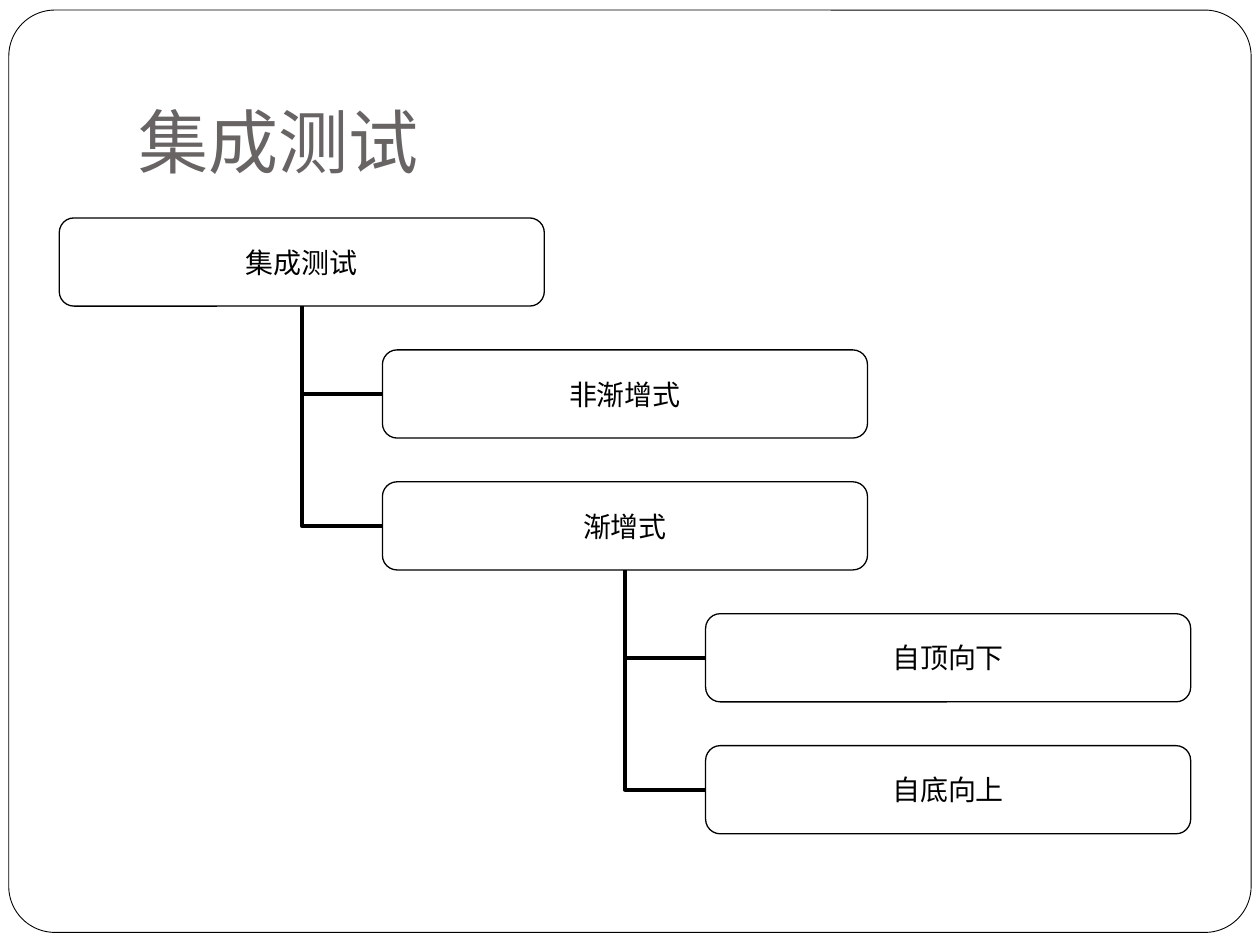
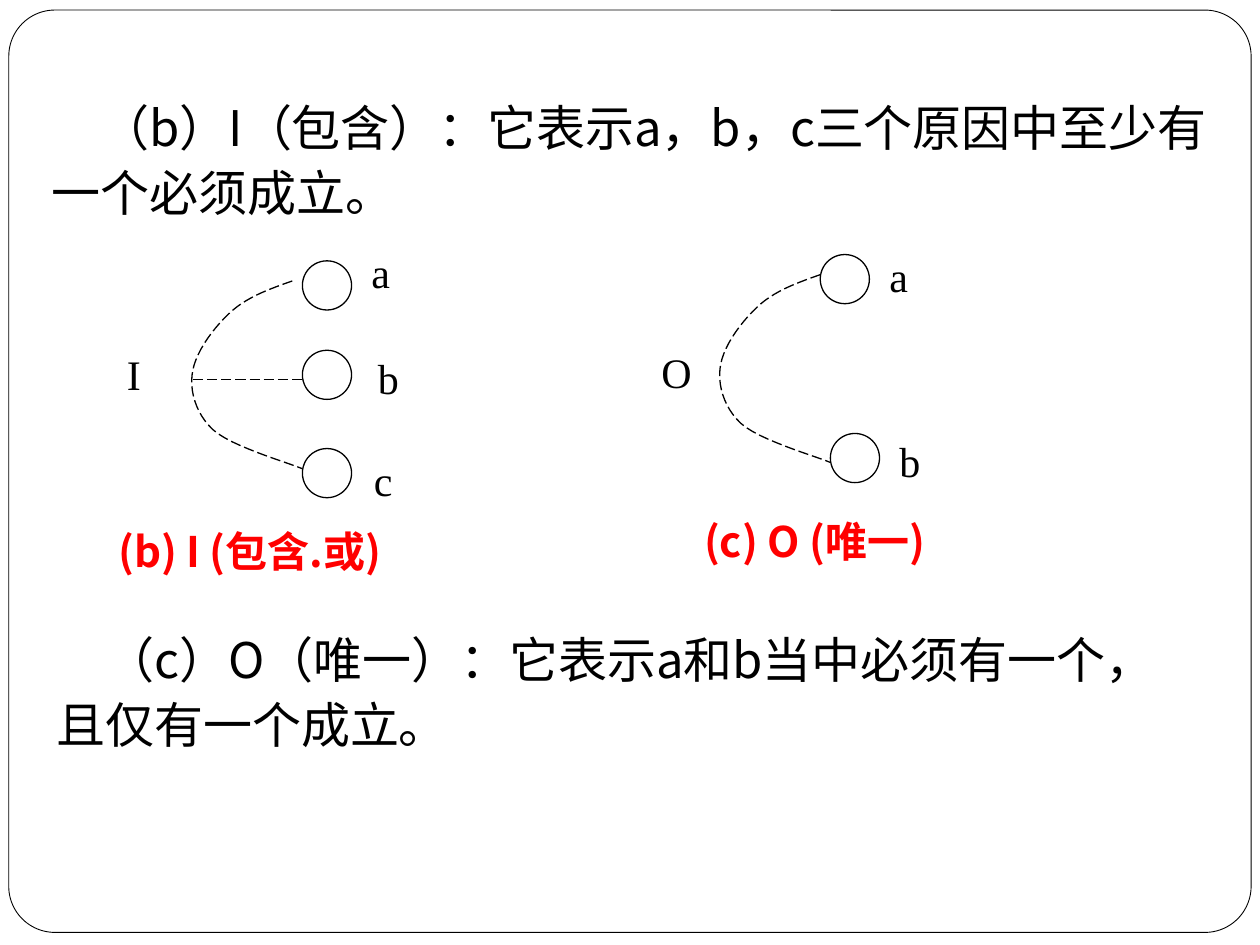
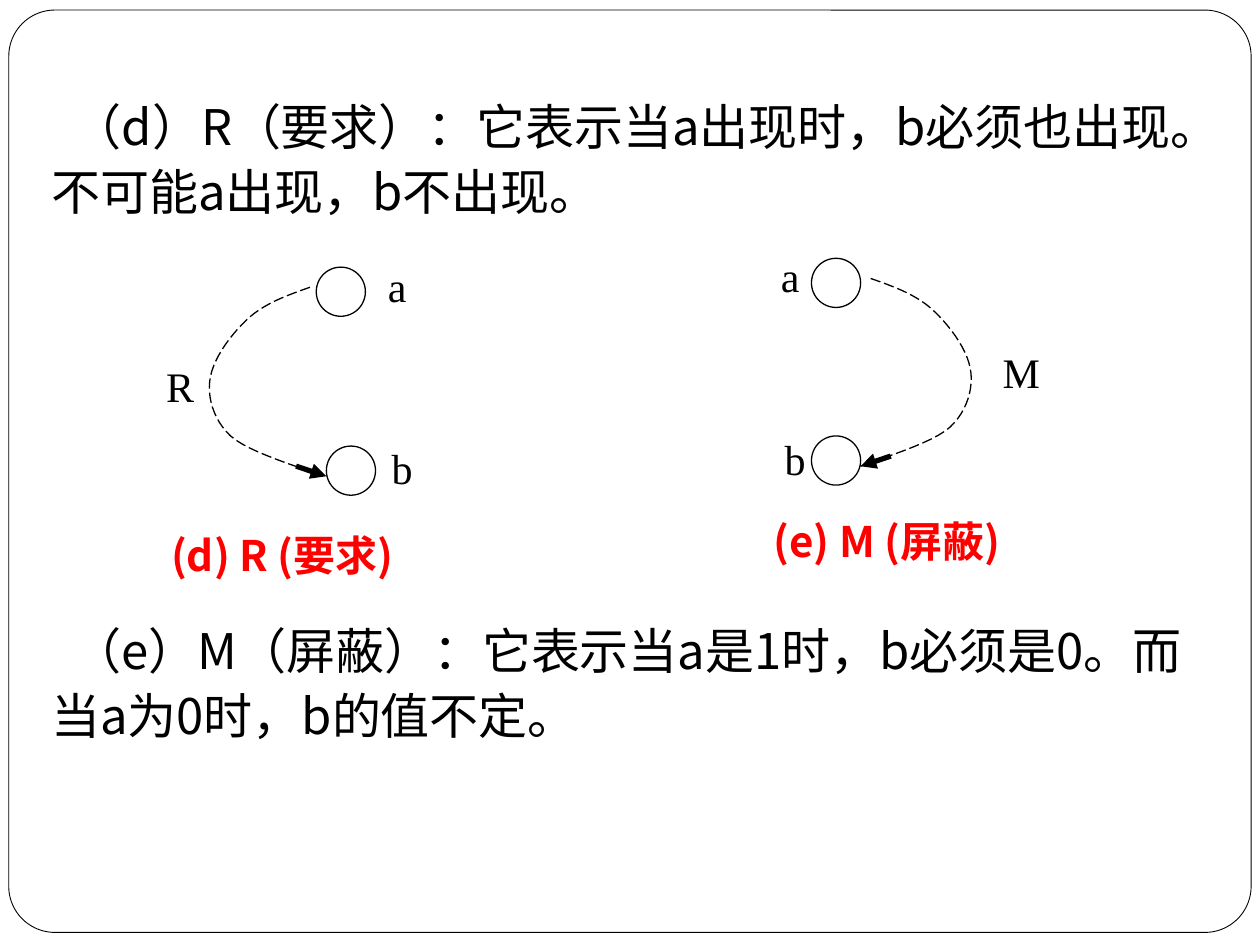
import pptx
import pptx.util
import pptx.dml.color
import pptx.enum.dml
import pptx.enum.shapes
import pptx.enum.text
import pptx.oxml
import pptx.oxml.ns

Inches = pptx.util.Inches
Pt = pptx.util.Pt
RGBColor = pptx.dml.color.RGBColor
ShapeType = pptx.enum.shapes.MSO_SHAPE
ConnectorType = pptx.enum.shapes.MSO_CONNECTOR
Anchor = pptx.enum.text.MSO_ANCHOR
Align = pptx.enum.text.PP_ALIGN
qn = pptx.oxml.ns.qn

BLACK = RGBColor(0x00, 0x00, 0x00)
WHITE = RGBColor(0xFF, 0xFF, 0xFF)
GRAY = RGBColor(0x69, 0x64, 0x64)
RED = RGBColor(0xFF, 0x00, 0x00)

CJK_FONT = "Noto Sans CJK SC"
TITLE = {"name": "Lato", "size": Pt(40), "bold": False}
NODE = {"name": "Arial", "size": Pt(16)}
BODY = {"name": CJK_FONT, "size": Pt(28)}
LABEL = {"name": "Times New Roman", "size": Pt(24)}
CAPTION = {"name": CJK_FONT, "size": Pt(24), "bold": True}


def set_text(shape, text, font_format, color, **paragraph_format):
    shape.text_frame.word_wrap = True
    paragraph = shape.text_frame.paragraphs[0]
    for name, value in paragraph_format.items():
        setattr(paragraph, name, value)
    run = paragraph.add_run()
    run.text = text
    for name, value in font_format.items():
        setattr(run.font, name, value)
    run.font.color.rgb = color
    properties = run.font._element
    east_asian = pptx.oxml.parse_xml(
        f'<a:ea {pptx.oxml.ns.nsdecls("a")} typeface="{CJK_FONT}"/>')
    properties.find(qn("a:latin")).addnext(east_asian)
    return paragraph


def set_line(shape, width, fill=None):
    """Give a shape or connector a black line, no shadow and an optional fill."""
    shape.line.color.rgb = BLACK
    shape.line.width = Pt(width)
    if hasattr(shape, "fill"):
        shape.shadow.inherit = False
        if fill is None:
            shape.fill.background()
        else:
            shape.fill.solid()
            shape.fill.fore_color.rgb = fill
    else:
        properties = shape.element.spPr
        properties.append(properties.makeelement(qn("a:effectLst"), {}))


presentation = pptx.Presentation()
presentation.slide_width = Inches(10)
presentation.slide_height = Inches(7.5)

# Slides with the rounded frame behind everything: title only, then two blank
for layout in (5, 6, 6):
    slide = presentation.slides.add_slide(presentation.slide_layouts[layout])
    frame = slide.shapes.add_shape(ShapeType.ROUNDED_RECTANGLE, Inches(0.07), Inches(0.08),
                                   Inches(9.86), Inches(7.32))
    frame.adjustments[0] = 0.05
    set_line(frame, 0.5, WHITE)
    slide.shapes.element.insert(2, frame.element)

# Slide 1: title and tree
slide = presentation.slides[0]
title = slide.shapes.title
title.left, title.top, title.width, title.height = map(Inches, (1, 0.3, 8.5, 1.25))
title.text_frame.vertical_anchor = Anchor.BOTTOM
title.text_frame.margin_bottom = Inches(0.1)
set_text(title, "集成测试", TITLE, GRAY, alignment=Align.LEFT)

# Nodes: text, level, index of the parent
tree = [("集成测试", 0, None), ("非渐增式", 1, 0), ("渐增式", 1, 0),
        ("自顶向下", 2, 2), ("自底向上", 2, 2)]
nodes = []
for row, (text, level, parent) in enumerate(tree):
    node = slide.shapes.add_shape(
        ShapeType.ROUNDED_RECTANGLE, Inches(0.47 + 2.565 * level),
        Inches(1.73 + 1.047 * row), Inches(3.85), Inches(0.7))
    set_line(node, 0.75, WHITE)
    node.text_frame.vertical_anchor = Anchor.MIDDLE
    for side in ("left", "top", "right", "bottom"):
        setattr(node.text_frame, f"margin_{side}", 0)
    set_text(node, text, NODE, BLACK, alignment=Align.CENTER)
    nodes.append(node)
    if parent is not None:
        branch = slide.shapes.add_connector(ConnectorType.ELBOW, 0, 0, 0, 0)
        branch.begin_connect(node, 1)
        branch.end_connect(nodes[parent], 2)
        branch.element.spPr.find(qn("a:prstGeom")).set("prst", "bentConnector2")
        set_line(branch, 2.25)

# Slides 2 and 3: constraint diagrams
CIRCLE = 0.39
# Bezier points of the arc, measured from its start
ARC = [(0, 0), (-0.17, 0.06), (-0.34, 0.12), (-0.47, 0.23), (-0.61, 0.35),
       (-0.76, 0.55), (-0.79, 0.71), (-0.82, 0.86), (-0.77, 1.05),
       (-0.63, 1.18), (-0.49, 1.31), (-0.04, 1.44), (0.08, 1.49)]
STEPS = 12

constraint_slides = [
    {"paragraphs": [
        (0.31, 0.68, 9.42, 0.39, "（b）I（包含）：它表示a，b，c三个原因中至少有一个必须成立。"),
        (0.35, 4.9, 9.2, 0.39, "（c）O（唯一）：它表示a和b当中必须有一个，且仅有一个成立。")],
     "diagrams": [
        {"circles": [(2.4, 2.07), (2.4, 2.78), (2.4, 3.56)],
         "arc": (2.32, 2.23), "direction": 1, "middle": (1.53, 2.4, 3.01),
         "labels": [("I", 0.91, 2.72), ("a", 2.85, 1.91), ("b", 2.9, 2.75), ("c", 2.87, 3.56)],
         "caption": ("(b) I (包含.或)", 0.84, 4.12)},
        {"circles": [(6.51, 2.02), (6.59, 3.44)],
         "arc": (6.51, 2.18), "direction": 1,
         "labels": [("O", 5.15, 2.7), ("a", 6.96, 1.94), ("b", 7.04, 3.41)],
         "caption": ("(c) O (唯一)", 5.49, 4.04)}]},
    {"paragraphs": [
        (0.31, 0.67, 9.34, 0.17, "（d）R（要求）：它表示当a出现时，b必须也出现。不可能a出现，b不出现。"),
        (0.31, 4.83, 9.34, 0.17, "（e）M（屏蔽）：它表示当a是1时，b必须是0。而当a为0时，b的值不定。")],
     "diagrams": [
        {"circles": [(2.51, 2.12), (2.59, 3.54)],
         "arc": (2.46, 2.28), "direction": 1, "arrow_tip": (2.59, 3.78),
         "labels": [("R", 1.22, 2.81), ("a", 2.98, 2.02), ("b", 3.01, 3.46)],
         "caption": ("(d) R (要求)", 1.26, 4.15)},
        {"circles": [(6.44, 2.05), (6.44, 3.46)],
         "arc": (6.91, 2.21), "direction": -1, "arrow_tip": (6.83, 3.7),
         "labels": [("M", 7.86, 2.7), ("a", 6.1, 1.94), ("b", 6.13, 3.39)],
         "caption": ("(e) M (屏蔽)", 6.04, 4.04)}]},
]

for number, content in enumerate(constraint_slides, start=1):
    slide = presentation.slides[number]

    # Explanations
    for left, top, width, indent, text in content["paragraphs"]:
        box = slide.shapes.add_textbox(Inches(left), Inches(top), Inches(width), Inches(1.13))
        paragraph = set_text(box, text, BODY, BLACK, line_spacing=1.1)
        paragraph._p.get_or_add_pPr().set("indent", str(Inches(indent)))

    for diagram in content["diagrams"]:
        direction = diagram["direction"]

        # Circles
        for left, top in diagram["circles"]:
            circle = slide.shapes.add_shape(ShapeType.OVAL, Inches(left), Inches(top),
                                            Inches(CIRCLE), Inches(CIRCLE))
            set_line(circle, 0.75, WHITE)

        # Dashed arc, sampled from the Bezier segments
        start_x, start_y = diagram["arc"]
        points = []
        for first in range(0, len(ARC) - 1, 3):
            for step in range(1, STEPS + 1):
                t = step / STEPS
                weights = ((1 - t) ** 3, 3 * t * (1 - t) ** 2, 3 * t ** 2 * (1 - t), t ** 3)
                segment = list(zip(weights, ARC[first:first + 4]))
                x = sum(weight * point[0] for weight, point in segment)
                y = sum(weight * point[1] for weight, point in segment)
                points.append((Inches(start_x + direction * x), Inches(start_y + y)))
        builder = slide.shapes.build_freeform(Inches(start_x), Inches(start_y))
        builder.add_line_segments(points, close=False)
        arc = builder.convert_to_shape()
        set_line(arc, 0.75)
        arc.line.dash_style = pptx.enum.dml.MSO_LINE.LONG_DASH

        # Dashed line to the middle circle
        if "middle" in diagram:
            begin_x, end_x, y = map(Inches, diagram["middle"])
            middle = slide.shapes.add_connector(ConnectorType.STRAIGHT, begin_x, y, end_x, y)
            set_line(middle, 0.75)
            middle.line.dash_style = pptx.enum.dml.MSO_LINE.LONG_DASH

        # Arrow at the end of the arc
        if "arrow_tip" in diagram:
            x, y = diagram["arrow_tip"]
            arrow = slide.shapes.add_connector(
                ConnectorType.STRAIGHT, Inches(x - direction * 0.24), Inches(y - 0.08),
                Inches(x), Inches(y))
            set_line(arrow, 3)
            line = arrow.line._get_or_add_ln()
            line.append(line.makeelement(qn("a:tailEnd"), {"type": "triangle"}))

        # Labels and caption
        for text, left, top in diagram["labels"]:
            box = slide.shapes.add_textbox(Inches(left), Inches(top), Inches(0.5), Inches(0.5))
            set_text(box, text, LABEL, BLACK)
        text, left, top = diagram["caption"]
        box = slide.shapes.add_textbox(Inches(left), Inches(top), Inches(3.3), Inches(0.5))
        set_text(box, text, CAPTION, RED)

presentation.save("out.pptx")
